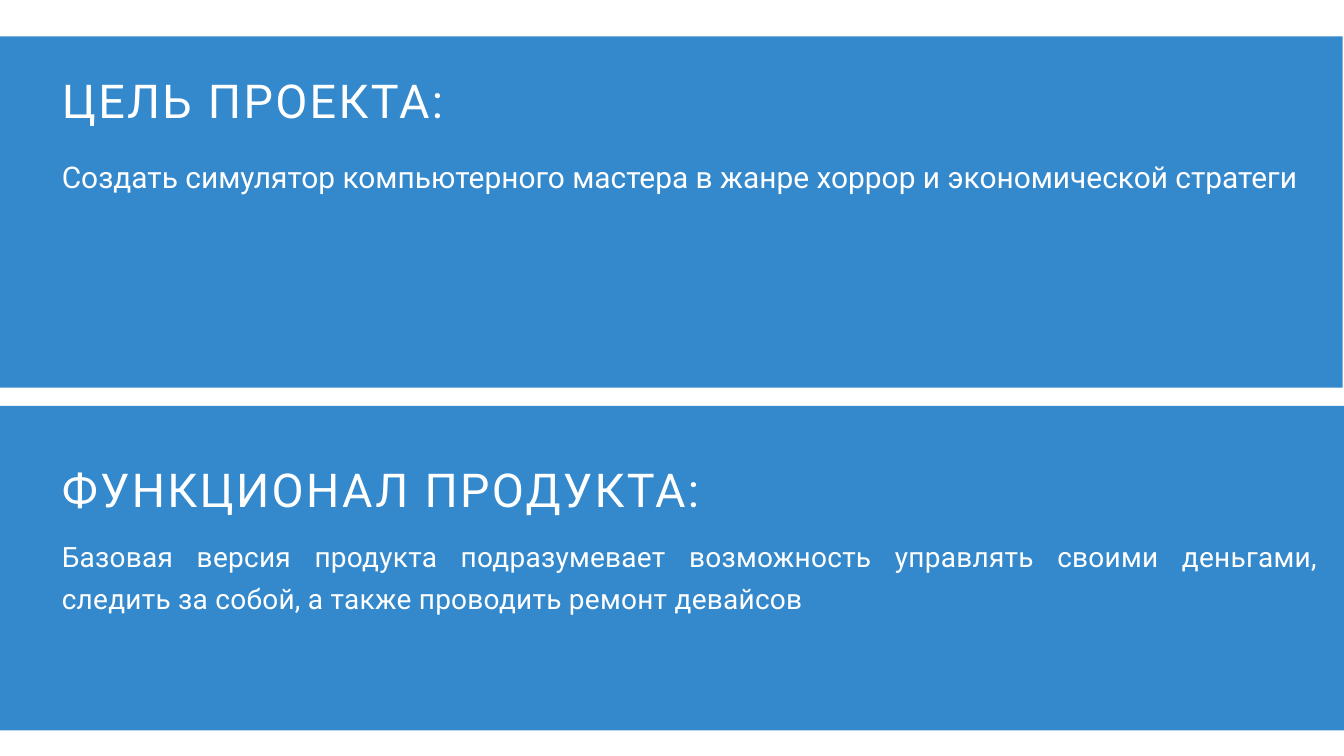
import pptx
import pptx.dml.color
import pptx.enum.shapes
import pptx.enum.text
import pptx.util

# Grid of one-inch cells
COLUMNS, ROWS = 20, 11.25
TEXT_LEFT = 0.92
BODY_WIDTH = 18.71


def color(hex_code):
    return pptx.dml.color.RGBColor.from_string(hex_code)


class SlideBuilder:
    font_name = "Roboto"
    band_color = "3488CC"
    text_color = "FFFFFF"

    def __init__(self, slide):
        self.slide = slide

    def band(self, left, top, width, height):
        band = self.slide.shapes.add_shape(
            pptx.enum.shapes.MSO_SHAPE.RECTANGLE,
            *map(pptx.util.Inches, (left, top, width, height)))
        band.shadow.inherit = False
        band.fill.solid()
        band.fill.fore_color.rgb = color(self.band_color)
        band.line.fill.background()

    def text(self, words, top, width, height, size, leading, spacing, align):
        box = self.slide.shapes.add_textbox(
            *map(pptx.util.Inches, (TEXT_LEFT, top, width, height)))
        frame = box.text_frame
        frame.word_wrap = True
        frame.auto_size = pptx.enum.text.MSO_AUTO_SIZE.SHAPE_TO_FIT_TEXT
        frame.margin_left = frame.margin_right = 0
        frame.margin_top = frame.margin_bottom = 0
        paragraph = frame.paragraphs[0]
        paragraph.alignment = align
        paragraph.line_spacing = pptx.util.Pt(leading)
        run = paragraph.add_run()
        run.text = words
        paragraph.font.name = self.font_name
        paragraph.font.size = pptx.util.Pt(size)
        paragraph.font.color.rgb = color(self.text_color)
        # Letter spacing is stored in hundredths of a point
        if spacing:
            run._r.get_or_add_rPr().set("spc", str(round(spacing * 100)))

    def heading(self, words, top, width):
        self.text(words, top, width, 0.9, 50, 70, 2.5,
                  pptx.enum.text.PP_ALIGN.LEFT)

    def body(self, words, top, size, spacing=0):
        self.text(words, top, BODY_WIDTH, 1.2, size, 45, spacing,
                  pptx.enum.text.PP_ALIGN.JUSTIFY)


def main():
    deck = pptx.Presentation()
    deck.slide_width = pptx.util.Inches(COLUMNS)
    deck.slide_height = pptx.util.Inches(ROWS)
    builder = SlideBuilder(deck.slides.add_slide(deck.slide_layouts[6]))

    # Background bands
    builder.band(-0.04, 0.54, 20.02, 5.23)
    builder.band(0, 6.04, COLUMNS, 4.83)

    # Product functions
    builder.heading("ФУНКЦИОНАЛ ПРОДУКТА:", 6.72, 18.67)
    builder.body("Базовая версия продукта подразумевает возможность управлять "
                 "своими деньгами, следить за собой, а также проводить ремонт "
                 "девайсов", 7.91, 30, spacing=0.3)

    # Project goal
    builder.heading("ЦЕЛЬ ПРОЕКТА:", 0.93, 19)
    builder.body("Создать симулятор компьютерного мастера в жанре хоррор и "
                 "экономической стратеги", 2.27, 32)

    deck.save("out.pptx")


if __name__ == "__main__":
    main()
